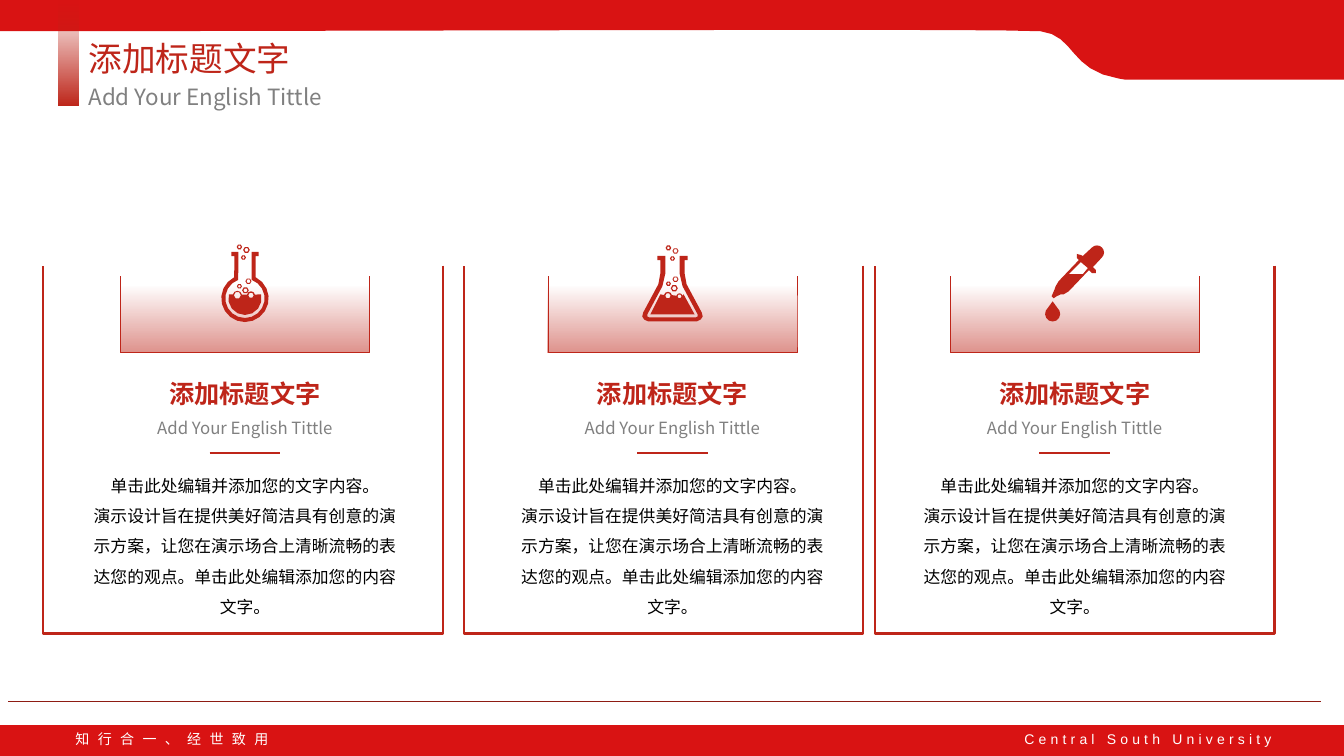
from dataclasses import dataclass
from math import cos, radians, sin
from typing import Optional

from lxml.etree import SubElement
from pptx import Presentation
from pptx.dml.color import RGBColor
from pptx.enum.shapes import MSO_CONNECTOR, MSO_SHAPE
from pptx.enum.text import MSO_ANCHOR, MSO_AUTO_SIZE, PP_ALIGN
from pptx.oxml.ns import qn
from pptx.util import Inches, Pt

Point = tuple[float, float]
Contour = list[Point]


@dataclass(frozen=True)
class Theme:
    accent: str = "BE2519"
    band: str = "D91313"
    rule: str = "8E1C13"
    grey: str = "808080"
    black: str = "000000"
    white: str = "FFFFFF"
    font: str = "Noto Sans CJK SC"
    latin_font: str = "Arial"
    title: int = 24
    subtitle: int = 16
    heading: int = 18
    body: int = 12
    footer: int = 10


@dataclass(frozen=True)
class TextStyle:
    size: int
    color: str
    align: PP_ALIGN = PP_ALIGN.CENTER
    bold: bool = False
    font: str = Theme.font
    line_spacing: float = 1.0
    letter_spacing: int = 0
    wrap: bool = True


@dataclass(frozen=True)
class Card:
    center: float
    frame_center: float
    icon: list[Contour]


THEME = Theme()
CHINESE_TITLE = "添加标题文字"
ENGLISH_TITLE = "Add Your English Tittle"
BODY = (
    "单击此处编辑并添加您的文字内容。\n"
    "演示设计旨在提供美好简洁具有创意的演示方案，让您在演示场合上清晰流畅的表达您的观点。"
    "单击此处编辑添加您的内容文字。"
)
ICON_TOP = 2.42


# Outlines: points in inches
def arc(x: float, y: float, radius: float, start: float, end: float, steps: int = 8) -> Contour:
    angles = [radians(start + (end - start) * step / steps) for step in range(steps + 1)]
    return [(x + radius * cos(angle), y + radius * sin(angle)) for angle in angles]


def bump(x: float, y: float, radius: float) -> Contour:
    return arc(x, y, radius, 190, 350, 4)


def bubbles(*items: tuple[float, ...]) -> list[Contour]:
    """Give one small circle for every radius that follows a centre."""
    return [arc(x, y, radius, 0, 300, 5) for x, y, *radii in items for radius in radii]


def curve(p0: Point, p1: Point, p2: Point, p3: Point, steps: int = 8) -> Contour:
    def at(t: float, axis: int) -> float:
        u = 1 - t
        return u**3 * p0[axis] + 3 * u * u * t * p1[axis] + 3 * u * t * t * p2[axis] + t**3 * p3[axis]
    return [(at(step / steps, 0), at(step / steps, 1)) for step in range(steps + 1)]


def symmetric(right_half: Contour) -> Contour:
    return right_half + [(-x, y) for x, y in reversed(right_half)]


def round_flask() -> list[Contour]:
    glass = symmetric(arc(0, 0.54, 0.235, 90, -63)
                      + [(0.105, 0.12), (0.135, 0.12), (0.135, 0.08), (0.065, 0.08)]
                      + arc(0, 0.54, 0.195, -70, 90))
    liquid = arc(0, 0.54, 0.165, -14, 194) + bump(-0.075, 0.51, 0.045) + bump(0.06, 0.51, 0.04)
    return [glass, liquid, *bubbles(
        (-0.075, 0.51, 0.035), (0.06, 0.51, 0.027), (0.005, 0.46, 0.033, 0.02),
        (0.035, 0.37, 0.03, 0.02), (0.015, 0.06, 0.033, 0.02), (-0.055, 0.42, 0.025, 0.014),
        (-0.055, 0.03, 0.027, 0.014), (-0.015, 0.135, 0.025, 0.012))]


def conical_flask() -> list[Contour]:
    glass = symmetric([(0.24, 0.77), (0.28, 0.75), (0.3, 0.72), (0.29, 0.68), (0.14, 0.4),
                       (0.12, 0.29), (0.12, 0.16), (0.15, 0.16), (0.15, 0.12), (0.07, 0.12),
                       (0.07, 0.29), (0.1, 0.42), (0.25, 0.7), (0.25, 0.72), (0.23, 0.73)])
    liquid = ([(0.22, 0.7), (-0.22, 0.7), (-0.12, 0.5)] + bump(-0.045, 0.515, 0.04)
              + bump(0.07, 0.52, 0.03) + [(0.11, 0.5)])
    return [glass, liquid, *bubbles(
        (-0.045, 0.515, 0.027), (0.07, 0.52, 0.02), (0.018, 0.44, 0.035, 0.022),
        (0.03, 0.35, 0.03, 0.02), (0.03, 0.07, 0.03, 0.02), (-0.04, 0.395, 0.025, 0.012),
        (-0.04, 0.04, 0.028, 0.014), (0, 0.145, 0.025, 0.012))]


def dropper() -> list[Contour]:
    body = arc(0.22, 0.085, 0.07, -135, 45) + [
        (0.18, 0.23), (0.21, 0.26), (0.21, 0.29), (0.17, 0.29), (0.14, 0.26), (-0.06, 0.47),
        (-0.11, 0.5), (-0.14, 0.5), (-0.18, 0.52), (-0.21, 0.54), (-0.23, 0.52),
        (-0.2, 0.45), (-0.19, 0.42), (-0.16, 0.37), (0.04, 0.16), (0.02, 0.14),
        (0.02, 0.1), (0.06, 0.11), (0.08, 0.12)]
    cavity = [(0.08, 0.3), (-0.06, 0.3), (0.06, 0.18), (0.13, 0.24)]
    drop = [(-0.22, 0.57)] + arc(-0.22, 0.695, 0.075, -25, 205)
    return [body, cavity, drop]


# Drawing helpers
def rgb(color: str) -> RGBColor:
    return RGBColor.from_string(color)


def fill_text(shape, text: str, style: TextStyle) -> None:
    frame = shape.text_frame
    frame.text = text
    frame.word_wrap = style.wrap
    frame.auto_size = MSO_AUTO_SIZE.SHAPE_TO_FIT_TEXT
    frame.vertical_anchor = MSO_ANCHOR.TOP
    for paragraph in frame.paragraphs:
        paragraph.alignment = style.align
        paragraph.line_spacing = style.line_spacing
        for run in paragraph.runs:
            run.font.size = Pt(style.size)
            run.font.bold = style.bold
            run.font.color.rgb = rgb(style.color)
            run.font.name = style.font
            properties = run.font._element
            SubElement(properties, qn("a:ea"), typeface=style.font)
            if style.letter_spacing:
                properties.set("spc", str(style.letter_spacing * 100))


def add_text(slide, left: float, top: float, width: float, height: float,
             text: str, style: TextStyle) -> None:
    box = slide.shapes.add_textbox(Inches(left), Inches(top), Inches(width), Inches(height))
    fill_text(box, text, style)


def add_rule(slide, left: float, right: float, y: float, color: str, weight: float) -> None:
    rule = slide.shapes.add_connector(
        MSO_CONNECTOR.STRAIGHT, Inches(left), Inches(y), Inches(right), Inches(y))
    rule.line.color.rgb = rgb(color)
    rule.line.width = Pt(weight)
    SubElement(rule._element.spPr, qn("a:effectLst"))


def add_outline(slide, contours: list[Contour], color: str, left: float = 0, top: float = 0) -> None:
    placed = [[(Inches(left + x), Inches(top + y)) for x, y in contour] for contour in contours]
    builder = slide.shapes.build_freeform(*placed[0][0])
    for index, contour in enumerate(placed):
        if index:
            builder.move_to(*contour[0])
        builder.add_line_segments(contour[1:], close=True)
    shape = builder.convert_to_shape()
    shape.shadow.inherit = False
    shape.fill.solid()
    shape.fill.fore_color.rgb = rgb(color)
    shape.line.fill.background()


def add_turned(slide, kind: MSO_SHAPE, center: Point, length: float, breadth: float, rotation: int,
               line: float = 0, fade: Optional[tuple[int, float]] = None) -> None:
    """Add a quarter-turned shape; fade is the opacity at its foot and where it ends."""
    shape = slide.shapes.add_shape(
        kind, Inches(center[0] - length / 2), Inches(center[1] - breadth / 2),
        Inches(length), Inches(breadth))
    shape.rotation = rotation
    shape.adjustments[0] = 0
    shape.shadow.inherit = False
    if line:
        shape.line.color.rgb = rgb(THEME.accent)
        shape.line.width = Pt(line)
    else:
        shape.line.fill.background()
    if fade is None:
        shape.fill.background()
        return
    shape.fill.gradient()
    shape.fill.gradient_angle = 0
    opacity, end = fade
    for stop, position, alpha in zip(shape.fill.gradient_stops, (0, end), (opacity, 0)):
        stop.position = position
        stop.color.rgb = rgb(THEME.accent)
        color = stop._gs.find(qn("a:srgbClr"))
        SubElement(color, qn("a:alpha"), val=str(alpha * 1000))


def add_card(slide, card: Card) -> None:
    left = card.center - 1.65
    add_text(slide, left, 3.7, 3.3, 0.4, CHINESE_TITLE,
             TextStyle(THEME.heading, THEME.accent, bold=True))
    add_text(slide, left, 4.1, 3.3, 0.3, ENGLISH_TITLE, TextStyle(THEME.body, THEME.grey))
    add_text(slide, left, 4.57, 3.3, 1.58, BODY,
             TextStyle(THEME.body, THEME.black, line_spacing=1.5))
    add_turned(slide, MSO_SHAPE.LEFT_BRACKET, (card.center, 3.12), 0.76, 2.47, 270, 0.5, (50, 0.88))
    add_rule(slide, card.center - 0.35, card.center + 0.35, 4.49, THEME.accent, 1.5)
    add_outline(slide, card.icon, THEME.accent, card.center, ICON_TOP)
    add_turned(slide, MSO_SHAPE.RIGHT_BRACKET, (card.frame_center, 4.46), 3.65, 3.96, 90, 1.5)


def main() -> None:
    presentation = Presentation()
    presentation.slide_width, presentation.slide_height = Inches(13.33), Inches(7.5)
    slide = presentation.slides.add_slide(presentation.slide_layouts[5])

    # Cards
    add_rule(slide, 0.08, 13.1, 6.96, THEME.rule, 0.5)
    for card in (Card(2.43, 2.41, round_flask()), Card(6.67, 6.58, conical_flask()),
                 Card(10.66, 10.66, dropper())):
        add_card(slide, card)

    # Header and footer bands
    header = ([(0, 0), (13.33, 0), (13.33, 0.79), (11.16, 0.79)]
              + curve((11.1, 0.78), (10.6, 0.7), (10.67, 0.35), (10.32, 0.31))
              + curve((10.32, 0.31), (9.97, 0.28), (3.44, 0.31), (0, 0.31)))
    add_outline(slide, [header], THEME.band)
    add_outline(slide, [[(0, 7.19), (13.33, 7.19), (13.33, 7.5), (0, 7.5)]], THEME.band)
    add_text(slide, 0.65, 7.2, 2.22, 0.27, "知行合一、经世致用",
             TextStyle(THEME.footer, THEME.white, PP_ALIGN.LEFT, letter_spacing=6, wrap=False))
    add_text(slide, 9.99, 7.2, 2.72, 0.27, "Central South University",
             TextStyle(THEME.footer, THEME.white, PP_ALIGN.RIGHT, font=THEME.latin_font,
                       letter_spacing=3, wrap=False))

    # Title block
    title = slide.shapes.title
    title.left, title.top, title.width, title.height = map(Inches, (0.78, 0.33, 12.1, 0.5))
    fill_text(title, CHINESE_TITLE, TextStyle(THEME.title, THEME.accent, PP_ALIGN.LEFT))
    add_turned(slide, MSO_SHAPE.ROUNDED_RECTANGLE, (0.68, 0.52), 1.05, 0.2, 270, fade=(100, 1))
    add_text(slide, 0.78, 0.78, 12.1, 0.37, ENGLISH_TITLE,
             TextStyle(THEME.subtitle, THEME.grey, PP_ALIGN.LEFT))

    presentation.save("out.pptx")


if __name__ == "__main__":
    main()
